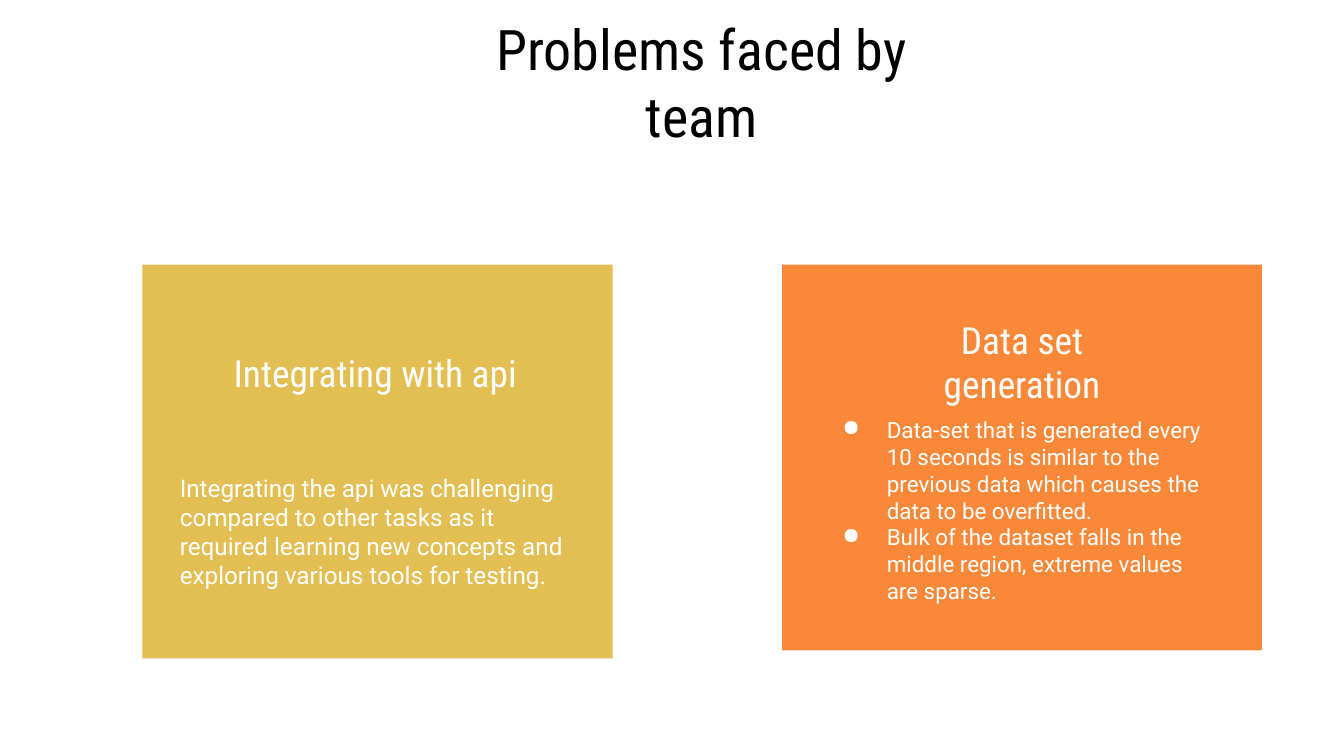
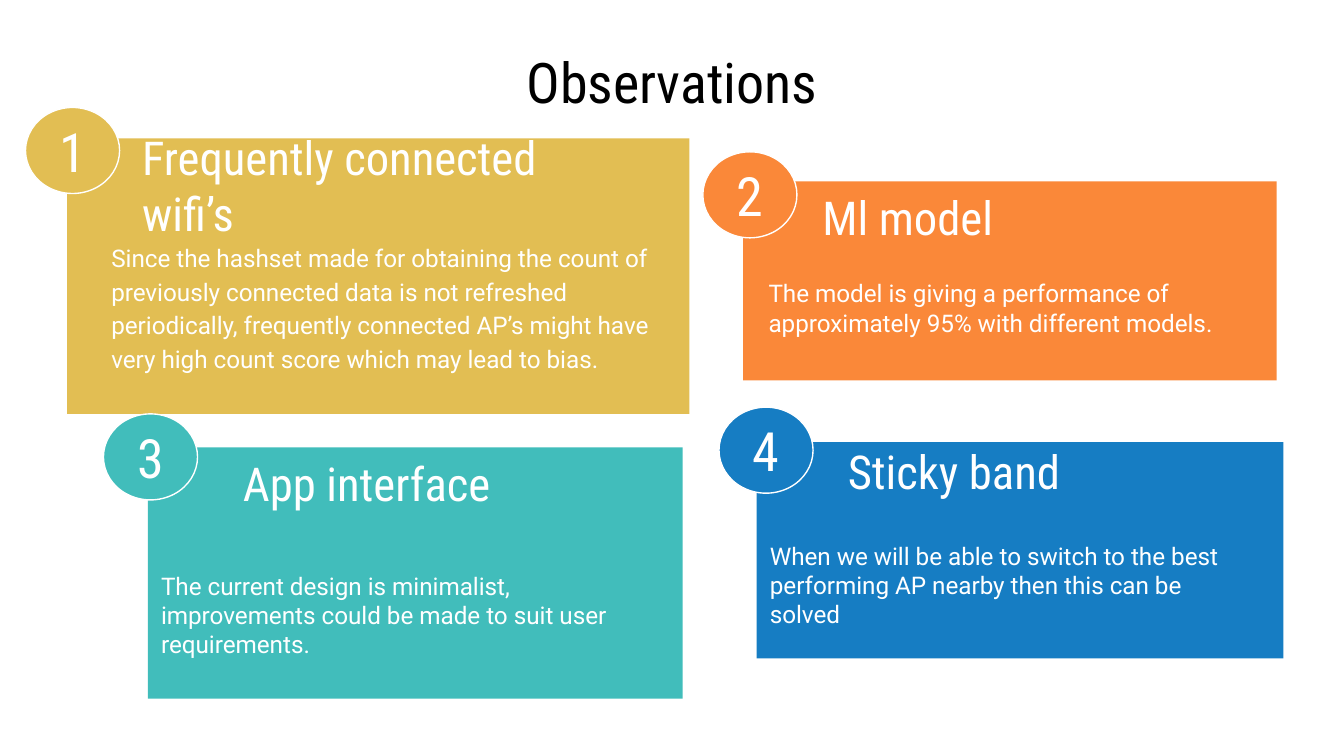
from pptx import Presentation
from pptx.dml.color import RGBColor
from pptx.enum.shapes import MSO_SHAPE as Preset
from pptx.enum.text import MSO_ANCHOR as Anchor, PP_ALIGN as Align
from pptx.oxml.xmlchemy import OxmlElement as Element
from pptx.util import Inches, Pt

COLOURS = {
    "ink": "000000",
    "paper": "FFFFFF",
    "gold": "E2BE53",
    "orange": "FA8839",
    "teal": "41BDBB",
    "blue": "167DC3",
}
HEADING, BODY = "Roboto Condensed", "Roboto"

deck = Presentation()
deck.slide_width, deck.slide_height = Inches(10), Inches(5.625)
COLUMN = deck.slide_width / 100
ROW = deck.slide_height / 56.25


def write(holder, lines, size, font, colour="paper", align=Align.LEFT, inset=0.1):
    frame = holder.text_frame
    frame.text = "\n".join(lines)
    frame.word_wrap = True
    frame.vertical_anchor = Anchor.MIDDLE
    frame.margin_left = frame.margin_right = Inches(0.1)
    frame.margin_top = frame.margin_bottom = Inches(inset)
    for paragraph in frame.paragraphs:
        paragraph.alignment = align
        for run in paragraph.runs:
            run.font.size = Pt(size)
            run.font.name = font
            run.font.color.rgb = RGBColor.from_string(COLOURS[colour])
    return frame


def place(slide, area, preset=None, colour=None):
    left, top, width, height = area
    box = [int(left * COLUMN), int(top * ROW), int(width * COLUMN), int(height * ROW)]
    if preset is None:
        return slide.shapes.add_textbox(*box)
    shape = slide.shapes.add_shape(preset, *box)
    shape.shadow.inherit = False
    shape.fill.solid()
    shape.fill.fore_color.rgb = RGBColor.from_string(COLOURS[colour])
    shape.line.fill.background()
    return shape


pages = []
for title, title_width in [("Problems faced by team", 36.4), ("Observations", 32)]:
    page = deck.slides.add_slide(deck.slide_layouts[6])
    page.background.fill.solid()
    page.background.fill.fore_color.rgb = RGBColor.from_string(COLOURS["paper"])
    write(place(page, (34, 4, title_width, 4.1)), [title], 30, HEADING, "ink", Align.CENTER)
    pages.append(page)
problems, observations = pages

problem_cards = [
    ("gold", (10.6, 19.7, 35, 29.3), "Integrating with api", (16.4, 24, 23.3, 7.5), Align.LEFT,
     ["Integrating the api was challenging compared to other tasks as it required learning "
      "new concepts and exploring various tools for testing."],
     (12.4, 31.8, 32, 15.5), 13),
    ("orange", (58.2, 19.7, 35.7, 28.7), "Data set generation", (68.9, 22.9, 14.3, 8), Align.CENTER,
     ["Data-set that is generated every 10 seconds is similar to the previous data which "
      "causes the data to be overfitted.",
      "Bulk of the dataset falls in the middle region, extreme values are sparse."],
     (60, 31.5, 31.5, 14.9), 12),
]
for colour, card, heading, heading_area, align, points, points_area, size in problem_cards:
    place(problems, card, Preset.RECTANGLE, colour)
    write(place(problems, heading_area), [heading], 20, HEADING, align=align)
    body = write(place(problems, points_area), points, size, BODY)
    if len(points) > 1:
        body.margin_bottom = Inches(0.3)
        for point in body.paragraphs:
            properties = point._p.get_or_add_pPr()
            properties.set("marL", str(Inches(0.5)))
            properties.set("indent", str(Inches(-0.33)))
            bullet_colour = Element("a:buClr")
            white = Element("a:srgbClr")
            white.set("val", COLOURS["paper"])
            bullet_colour.append(white)
            bullet = Element("a:buChar")
            bullet.set("char", "●")
            properties.extend([bullet_colour, bullet])

observation_cards = [
    ("gold", (5, 10.3, 46.3, 20.5), (1.9, 8), "Frequently connected wifi’s", (9.6, 11.3, 38, 4.9),
     "Since the hashset made for obtaining the count of previously connected data is not "
     "refreshed periodically, frequently connected AP’s might have very high count score "
     "which may lead to bias.", (7.3, 15.3, 42.7, 15), 1.15),
    ("orange", (55.3, 13.5, 39.7, 14.8), (52.3, 11.3), "Ml model", (60.2, 13.7, 34.1, 4.9),
     "The model is giving a performance of approximately 95% with different models.",
     (56.2, 16.2, 36.8, 13.4), 1),
    ("teal", (11, 33.3, 39.8, 18.7), (7.7, 30.8), "App interface", (17.1, 33.5, 35.3, 4.9),
     "The current design is minimalist, improvements could be made to suit user requirements.",
     (11, 37.1, 36.2, 17.3), 1),
    ("blue", (56.3, 32.9, 39.2, 16.1), (53.5, 30.3), "Sticky band", (62.1, 32.9, 21.2, 4.2),
     "When we will be able to switch to the best performing AP nearby then this can be solved",
     (56.3, 38.3, 36.4, 10.4), 1),
]
for number, observation in enumerate(observation_cards, 1):
    colour, card, badge_corner, heading, heading_area, finding, finding_area, spacing = observation
    place(observations, card, Preset.RECTANGLE, colour)
    write(place(observations, heading_area), [heading], 25, HEADING)
    body = write(place(observations, finding_area), [finding], 13, BODY)
    body.paragraphs[0].line_spacing = spacing
    badge = place(observations, (*badge_corner, 7, 6.4), Preset.OVAL, colour)
    badge.line.color.rgb = RGBColor.from_string(COLOURS["paper"])
    badge.line.width = Pt(0.75)
    write(badge, [str(number)], 29, HEADING, align=Align.CENTER, inset=0.05)

deck.save("out.pptx")
